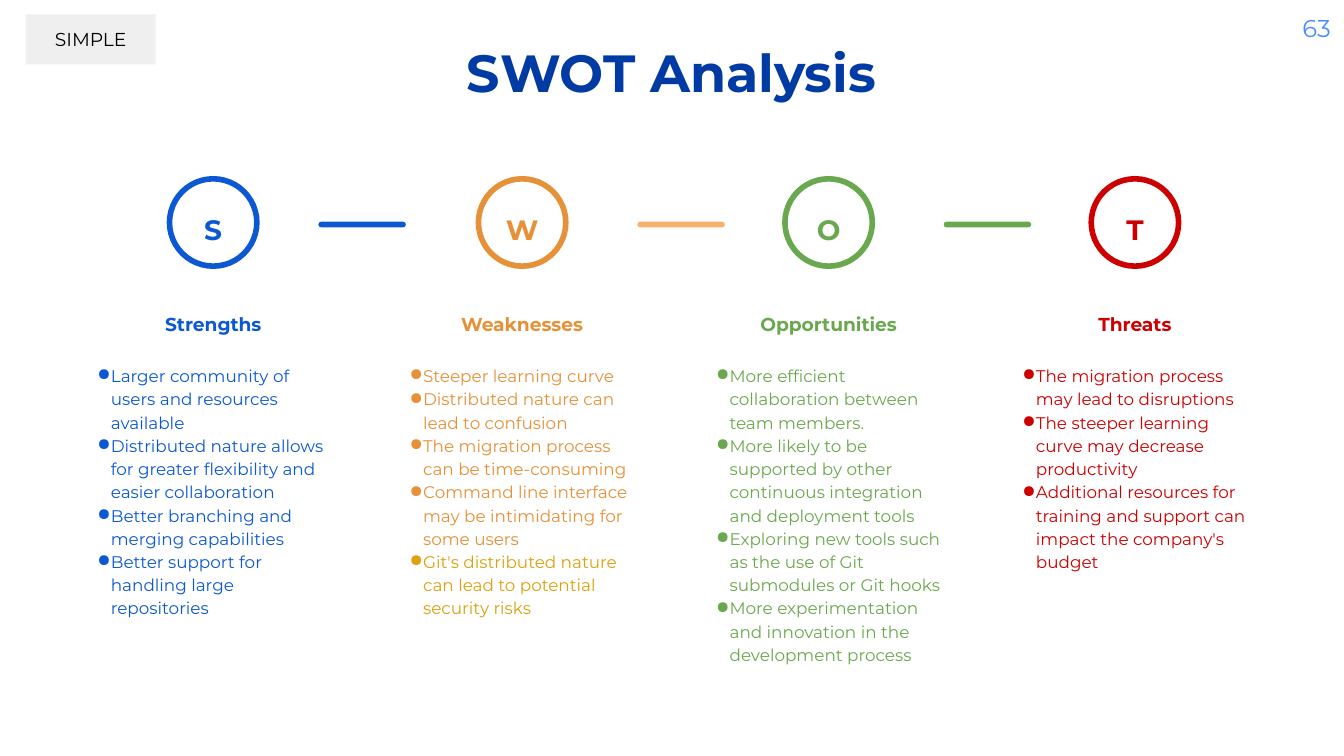
import dataclasses

import pptx
import pptx.dml.color
import pptx.enum.shapes
import pptx.enum.text
import pptx.oxml
import pptx.oxml.ns
import pptx.util

Pt = pptx.util.Pt
Align = pptx.enum.text.PP_ALIGN
Anchor = pptx.enum.text.MSO_ANCHOR
Shape = pptx.enum.shapes.MSO_SHAPE


@dataclasses.dataclass(frozen=True)
class Theme:
    font: str = "Montserrat"
    title: str = "003BA3"
    number: str = "4A8CFF"
    blue: str = "0C58D3"
    orange: str = "E69138"
    light_orange: str = "F6B26B"
    gold: str = "DCA10D"
    green: str = "6AA84F"
    red: str = "CC0000"
    tag_fill: str = "EFEFEF"
    tag_text: str = "000000"
    title_size: float = 28
    letter_size: float = 15
    number_size: float = 13
    heading_size: float = 10
    body_size: float = 9
    line_spacing: float = 1.15


THEME = Theme()


def rgb(color):
    return pptx.dml.color.RGBColor.from_string(color)


def add_bullet(paragraph, color):
    properties = paragraph._p.get_or_add_pPr()
    properties.set("marL", str(Pt(7.2)))
    properties.set("indent", str(Pt(-7.2)))
    namespace = pptx.oxml.ns.nsdecls("a")
    for xml in (
        f'<a:buClr {namespace}><a:srgbClr val="{color}"/></a:buClr>',
        f'<a:buChar {namespace} char="●"/>',
    ):
        properties.append(pptx.oxml.parse_xml(xml))


class SlideBuilder:
    def __init__(self, slide, theme):
        self.slide = slide
        self.theme = theme
        self.shapes = slide.shapes

    def start_group(self):
        self.shapes = self.slide.shapes.add_group_shape().shapes

    def end_group(self):
        self.shapes = self.slide.shapes

    def prepare_frame(self, shape, anchor):
        frame = shape.text_frame
        frame.word_wrap = True
        frame.vertical_anchor = anchor
        frame.margin_left = frame.margin_right = Pt(7.2)
        frame.margin_top = frame.margin_bottom = Pt(7.2)
        return frame

    def add_run(self, paragraph, text, size, color, bold=False):
        run = paragraph.add_run()
        run.text = text
        run.font.name = self.theme.font
        run.font.size = Pt(size)
        run.font.bold = bold
        run.font.color.rgb = rgb(color)

    def text(self, box, text, size, color, bold=False, align=Align.CENTER,
             anchor=Anchor.TOP, spacing=None):
        shape = self.shapes.add_textbox(*map(Pt, box))
        paragraph = self.prepare_frame(shape, anchor).paragraphs[0]
        paragraph.alignment = align
        paragraph.line_spacing = spacing
        self.add_run(paragraph, text, size, color, bold)

    def bullets(self, box, items):
        """Add (text, color) pairs as a bulleted list."""
        shape = self.shapes.add_textbox(*map(Pt, box))
        frame = self.prepare_frame(shape, Anchor.TOP)
        for index, (text, color) in enumerate(items):
            paragraph = frame.add_paragraph() if index else frame.paragraphs[0]
            add_bullet(paragraph, color)
            paragraph.line_spacing = self.theme.line_spacing
            self.add_run(paragraph, text, self.theme.body_size, color)

    def filled(self, kind, box, color):
        shape = self.shapes.add_shape(kind, *map(Pt, box))
        shape.shadow.inherit = False
        shape.fill.solid()
        shape.fill.fore_color.rgb = rgb(color)
        shape.line.fill.background()
        return shape

    def bar(self, left, color):
        shape = self.filled(Shape.ROUNDED_RECTANGLE, (left, 118.8, 46.8, 3), color)
        shape.adjustments[0] = 0.5

    def tag(self, box, text):
        shape = self.filled(Shape.RECTANGLE, box, self.theme.tag_fill)
        paragraph = self.prepare_frame(shape, Anchor.MIDDLE).paragraphs[0]
        paragraph.alignment = Align.CENTER
        self.add_run(paragraph, text, self.theme.heading_size, self.theme.tag_text)

    def ring(self, box, color):
        shape = self.shapes.add_shape(Shape.OVAL, *map(Pt, box))
        shape.shadow.inherit = False
        shape.fill.background()
        shape.line.color.rgb = rgb(color)
        shape.line.width = Pt(3)

    def column(self, center, heading, color, items, list_width=134.6):
        """Add one SWOT group: ringed initial, heading and list."""
        theme = self.theme
        self.start_group()
        self.ring((center - 23.4, 95.8, 46.8, 46.8), color)
        self.text((center - 17.3, 103.7, 34.6, 25.2), heading[0],
                  theme.letter_size, color, bold=True, spacing=theme.line_spacing)
        self.text((center - 67.3, 151.2, 134.6, 35.3), heading,
                  theme.heading_size, color, bold=True, anchor=Anchor.BOTTOM,
                  spacing=theme.line_spacing)
        self.bullets((center - list_width / 2, 187.2, list_width, 58.3), items)
        self.end_group()


STRENGTHS = [
    "Larger community of users and resources available",
    "Distributed nature allows for greater flexibility and easier collaboration",
    "Better branching and merging capabilities",
    "Better support for handling large repositories",
]
WEAKNESSES = [
    "Steeper learning curve",
    "Distributed nature can lead to confusion",
    "The migration process can be time-consuming",
    "Command line interface may be intimidating for some users",
]
SECURITY_RISK = "Git's distributed nature can lead to potential security risks"
OPPORTUNITIES = [
    "More efficient collaboration between team members.",
    "More likely to be supported by other continuous integration and deployment tools",
    "Exploring new tools such as the use of Git submodules or Git hooks",
    "More experimentation and innovation in the development process",
]
THREATS = [
    "The migration process may lead to disruptions",
    "The steeper learning curve may decrease productivity",
    "Additional resources for training and support can impact the company's budget",
]


def colored(items, color):
    return [(item, color) for item in items]


def main():
    presentation = pptx.Presentation()
    presentation.slide_width = Pt(720)
    presentation.slide_height = Pt(405)
    slide = presentation.slides.add_slide(presentation.slide_layouts[6])
    builder = SlideBuilder(slide, THEME)

    builder.text((56.2, 14.4, 607, 73.4), "SWOT Analysis",
                 THEME.title_size, THEME.title, bold=True)
    builder.text((676.8, 0, 43.2, 31), "63", THEME.number_size, THEME.number,
                 align=Align.RIGHT)

    builder.column(114.2, "Strengths", THEME.blue,
                   colored(STRENGTHS, THEME.blue), list_width=138.2)
    builder.column(279.7, "Weaknesses", THEME.orange,
                   colored(WEAKNESSES, THEME.orange) + [(SECURITY_RISK, THEME.gold)])
    builder.column(443.9, "Opportunities", THEME.green,
                   colored(OPPORTUNITIES, THEME.green))
    builder.column(608, "Threats", THEME.red, colored(THREATS, THEME.red))

    for left, color in ((170.6, THEME.blue), (341.5, THEME.light_orange),
                        (505.6, THEME.green)):
        builder.bar(left, color)
    builder.tag((13.7, 7.7, 69.8, 26.8), "SIMPLE")

    presentation.save("out.pptx")


if __name__ == "__main__":
    main()
